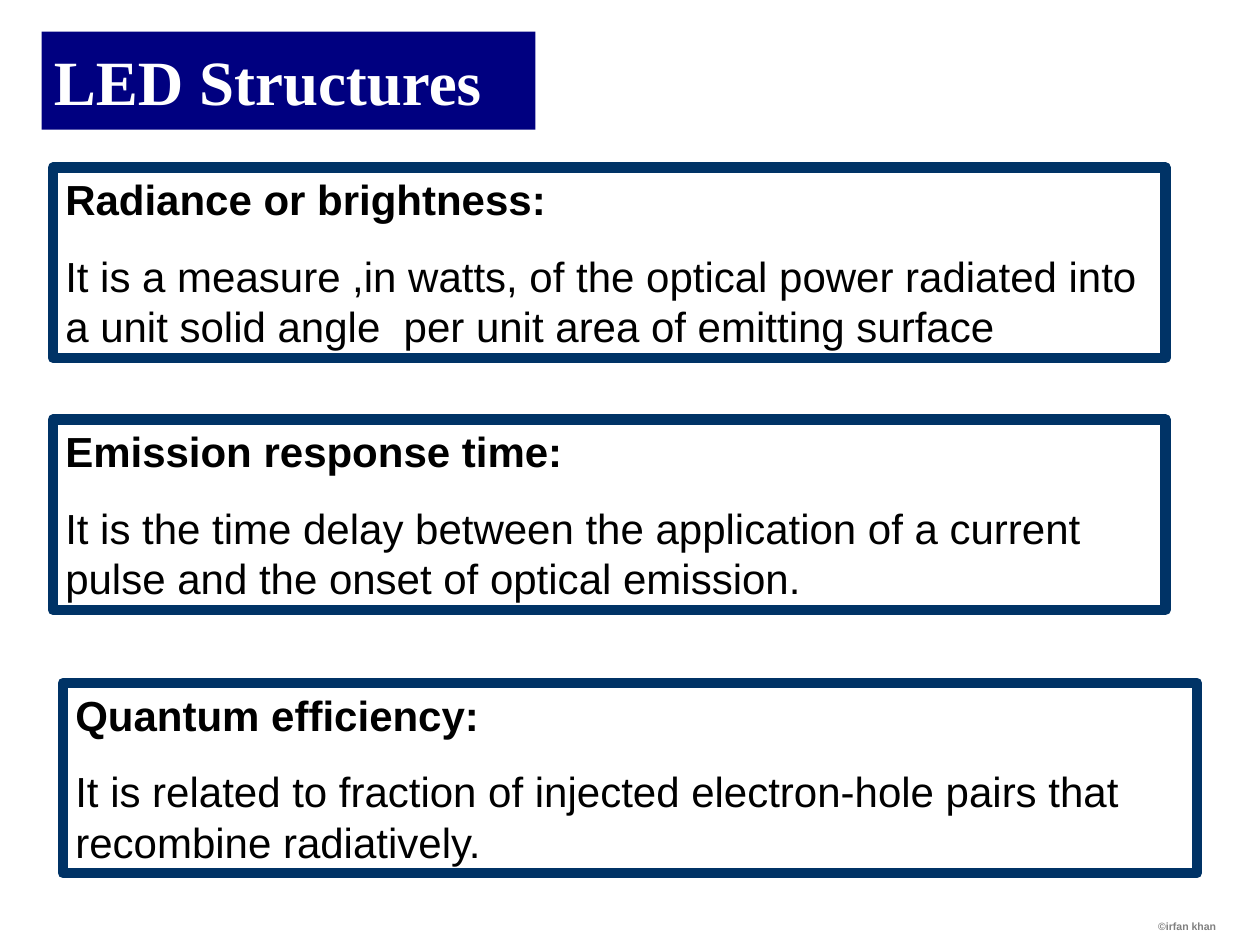
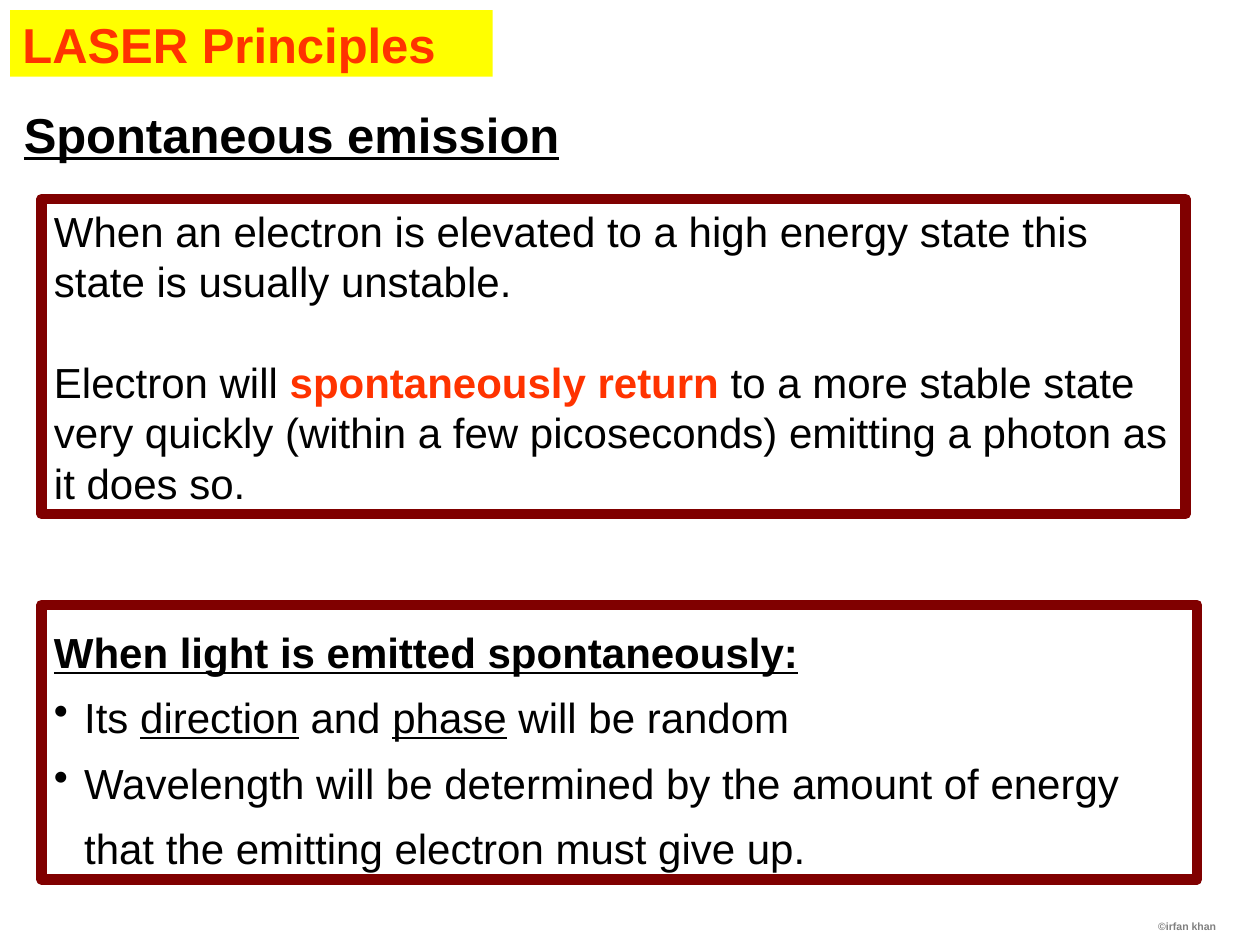
from dataclasses import dataclass

from lxml.etree import SubElement
from pptx import Presentation
from pptx.dml.color import RGBColor
from pptx.enum.shapes import MSO_SHAPE
from pptx.enum.text import MSO_ANCHOR, PP_ALIGN
from pptx.oxml.ns import qn
from pptx.util import Inches, Pt


@dataclass(frozen=True)
class Theme:
    sans: str = "Arial"
    serif: str = "Times New Roman"
    black: str = "000000"
    white: str = "FFFFFF"
    gray: str = "808080"
    navy: str = "000080"
    blue: str = "003366"
    maroon: str = "800000"
    yellow: str = "FFFF00"
    red: str = "FF3300"
    banner_size: int = 36
    heading_size: int = 28
    body_size: int = 24
    footer_size: int = 6
    frame_width: int = 6


@dataclass(frozen=True)
class Words:
    """A run of text with its own emphasis."""
    text: str
    bold: bool = False
    underline: bool = False
    color: str = Theme.black
    size: int = Theme.body_size
    font: str = Theme.sans


class Deck:
    """Holds the theme and the slide being built."""

    def __init__(self, theme):
        self.theme = theme
        self.presentation = Presentation()
        self.presentation.slide_width = Inches(10)
        self.presentation.slide_height = Inches(7.5)
        self.slide = None

    def new_slide(self):
        layout = self.presentation.slide_layouts[6]
        self.slide = self.presentation.slides.add_slide(layout)
        self.footer()

    def footer(self):
        theme = self.theme
        frame = self.text_box(6.58, 6.75, 3.17, 0.7, MSO_ANCHOR.BOTTOM)
        paragraph = self.paragraph(frame, [
            Words("©irfan khan", bold=True, color=theme.gray, size=theme.footer_size)])
        paragraph.alignment = PP_ALIGN.RIGHT

    def text_box(self, left, top, width, height, anchor=MSO_ANCHOR.TOP):
        shape = self.slide.shapes.add_textbox(
            Inches(left), Inches(top), Inches(width), Inches(height))
        shape.text_frame.word_wrap = True
        shape.text_frame.vertical_anchor = anchor
        return shape.text_frame

    def rectangle(self, left, top, width, height, fill=None, line=None,
                  anchor=MSO_ANCHOR.TOP):
        shape = self.slide.shapes.add_shape(
            MSO_SHAPE.RECTANGLE,
            Inches(left), Inches(top), Inches(width), Inches(height))
        shape.shadow.inherit = False
        if fill:
            shape.fill.solid()
            shape.fill.fore_color.rgb = RGBColor.from_string(fill)
        else:
            shape.fill.background()
        if line:
            shape.line.color.rgb = RGBColor.from_string(line)
            shape.line.width = Pt(self.theme.frame_width)
        else:
            shape.line.fill.background()
        shape.text_frame.word_wrap = True
        shape.text_frame.vertical_anchor = anchor
        return shape.text_frame

    def paragraph(self, frame, runs, space_before=0, line_spacing=None, bullet=False):
        first = frame.paragraphs[0]
        paragraph = frame.add_paragraph() if first.runs else first
        paragraph.alignment = PP_ALIGN.LEFT
        if space_before:
            paragraph.space_before = Pt(space_before)
        if line_spacing:
            paragraph.line_spacing = line_spacing
        if bullet:
            self.add_bullet(paragraph)
        for words in runs:
            run = paragraph.add_run()
            run.text = words.text
            run.font.name = words.font
            run.font.size = Pt(words.size)
            run.font.bold = words.bold
            run.font.underline = words.underline
            run.font.color.rgb = RGBColor.from_string(words.color)
        return paragraph

    def add_bullet(self, paragraph):
        hanging = Inches(0.24)
        properties = paragraph._p.get_or_add_pPr()
        properties.set("marL", str(hanging))
        properties.set("indent", str(-hanging))
        SubElement(properties, qn("a:buChar")).set("char", "•")

    def title(self, left, top, width, height, fill, words):
        frame = self.rectangle(left, top, width, height, fill=fill,
                               anchor=MSO_ANCHOR.MIDDLE)
        self.paragraph(frame, [words])

    def definition(self, left, top, width, term, meaning):
        frame = self.rectangle(left, top, width, 1.51, line=self.theme.blue)
        self.paragraph(frame, [Words(term, bold=True)])
        self.paragraph(frame, [Words(meaning)], space_before=15)


def build_led_structures(deck):
    theme = deck.theme
    deck.new_slide()
    deck.title(0.33, 0.25, 3.92, 0.78, theme.navy,
               Words("LED Structures", bold=True, color=theme.white,
                     size=theme.banner_size, font=theme.serif))

    # Framed definitions
    definitions = [
        (0.42, 1.33, 8.83, "Radiance or brightness:",
         "It is a measure ,in watts, of the optical power radiated into a unit "
         "solid angle  per unit area of emitting surface"),
        (0.42, 3.33, 8.83, "Emission response time:",
         "It is the time delay between the application of a current pulse and "
         "the onset of optical emission."),
        (0.5, 5.42, 9, "Quantum efficiency:",
         "It is related to fraction of injected electron-hole pairs that "
         "recombine radiatively."),
    ]
    for definition in definitions:
        deck.definition(*definition)


def build_laser_principles(deck):
    theme = deck.theme
    deck.new_slide()

    # Subtitle
    subtitle = deck.text_box(0.09, 0.78, 4.45, 0.57)
    deck.paragraph(subtitle, [Words("Spontaneous emission", bold=True,
                                    underline=True, size=theme.heading_size)])

    # Explanation of the unstable state
    explanation = deck.rectangle(0.33, 1.58, 9.08, 2.5, line=theme.maroon)
    deck.paragraph(explanation, [
        Words("When an electron is elevated to a high energy state this state "
              "is usually unstable.")])
    deck.paragraph(explanation, [
        Words("Electron will "),
        Words("spontaneously return", bold=True, color=theme.red),
        Words(" to a more stable state very quickly (within a few picoseconds) "
              "emitting a photon as it does so."),
    ], space_before=28.8)

    # Properties of the emitted light
    light = deck.rectangle(0.33, 4.8, 9.17, 2.18, line=theme.maroon)
    deck.paragraph(light, [Words("When light is emitted spontaneously:",
                                 bold=True, underline=True)], line_spacing=1.3)
    light_properties = [
        [Words("Its "), Words("direction", underline=True), Words(" and "),
         Words("phase", underline=True), Words(" will be random")],
        [Words("Wavelength will be determined by the amount of energy that the "
               "emitting electron must give up.")],
    ]
    for runs in light_properties:
        deck.paragraph(light, runs, line_spacing=1.3, bullet=True)

    deck.title(0.08, 0.08, 3.83, 0.53, theme.yellow,
               Words("LASER Principles", bold=True, color=theme.red,
                     size=theme.heading_size))


def main():
    deck = Deck(Theme())
    build_led_structures(deck)
    build_laser_principles(deck)
    deck.presentation.save("out.pptx")


if __name__ == "__main__":
    main()
